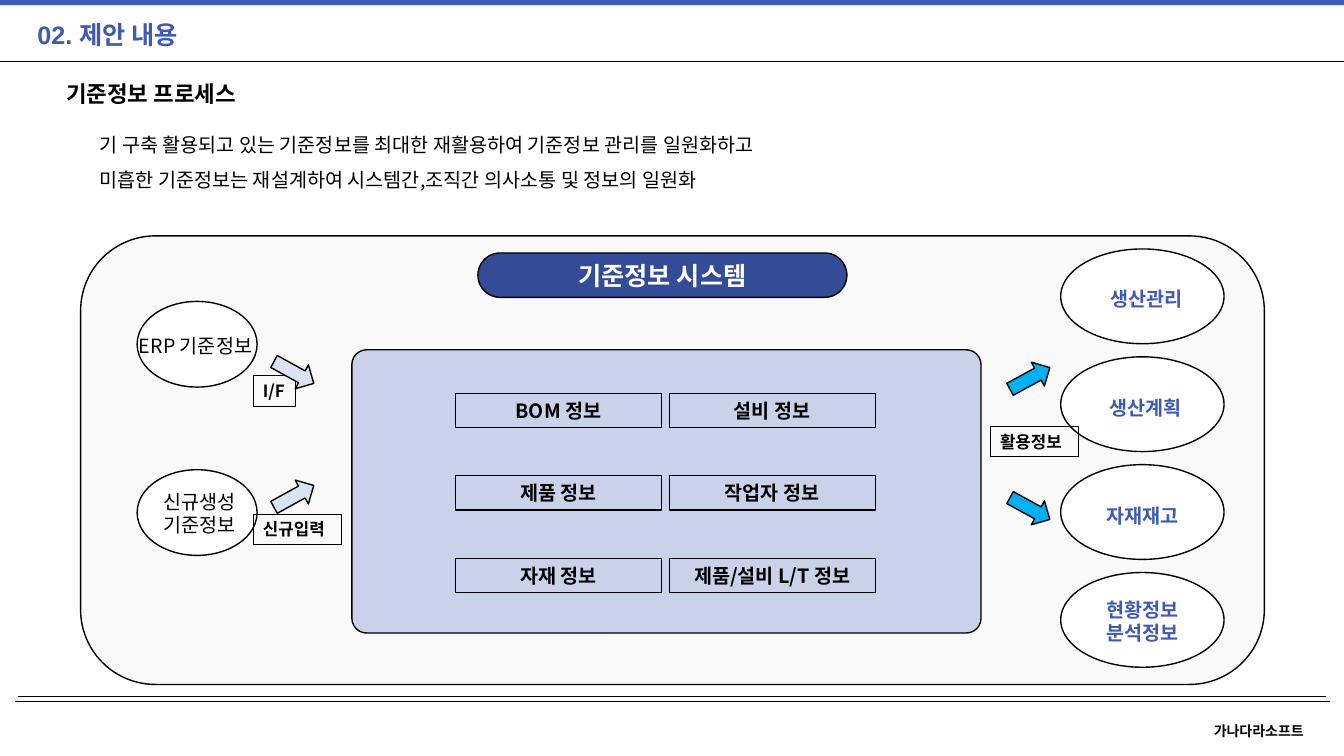
from dataclasses import dataclass

from lxml.etree import SubElement
from pptx import Presentation
from pptx.dml.color import RGBColor
from pptx.enum.shapes import MSO_CONNECTOR as Connector, MSO_SHAPE as Shape
from pptx.enum.text import MSO_ANCHOR as Anchor, MSO_AUTO_SIZE as AutoSize, PP_ALIGN as Align
from pptx.oxml.ns import qn
from pptx.util import Inches, Pt


@dataclass(frozen=True)
class Theme:
    black: str = "000000"
    white: str = "FFFFFF"
    accent: str = "3E5AB4"
    banner: str = "344C98"
    frame: str = "F9F9F9"
    core: str = "93A4D9"
    input_arrow: str = "DAE3F3"
    output_arrow: str = "00B0F0"
    heading_font: str = "Arial"
    body_font: str = "Noto Sans CJK KR"
    heading: int = 18
    subheading: int = 16
    body: int = 14
    tag: int = 12
    footer: int = 10
    outline: float = 1
    thin: float = 0.75
    hairline: float = 0.5


THEME = Theme()


def apply(target, values):
    for name, value in values.items():
        setattr(target, name, value)


def write(shape, text, size=THEME.body, color=THEME.black, bold=False, align=Align.LEFT,
          anchor=Anchor.TOP, wrap=True, grow=True, spacing=None, font=THEME.body_font):
    frame = shape.text_frame
    frame.text = text
    apply(frame, {
        "word_wrap": wrap,
        "vertical_anchor": anchor,
        "auto_size": AutoSize.SHAPE_TO_FIT_TEXT if grow else AutoSize.NONE,
    })
    for paragraph in frame.paragraphs:
        apply(paragraph, {"alignment": align, "line_spacing": spacing})
        for run in paragraph.runs:
            apply(run.font, {"name": font, "size": Pt(size), "bold": bold})
            run.font.color.rgb = RGBColor.from_string(color)
            east_asian = SubElement(run.font._element, qn("a:ea"))
            east_asian.set("typeface", THEME.body_font)


def add_label(slide, box, text, **style):
    label = slide.shapes.add_textbox(*map(Inches, box))
    write(label, text, **style)


def add_block(slide, kind, box, fill=None, outline=THEME.outline, corner=None,
              rotation=0, alpha=None):
    block = slide.shapes.add_shape(kind, *map(Inches, box))
    block.shadow.inherit = False
    block.rotation = rotation
    if corner is not None:
        block.adjustments[0] = corner
    if fill:
        block.fill.solid()
        block.fill.fore_color.rgb = RGBColor.from_string(fill)
        if alpha:
            color = block._element.spPr.find(f".//{qn('a:srgbClr')}")
            SubElement(color, qn("a:alpha")).set("val", str(alpha * 1000))
    else:
        block.fill.background()
    if outline:
        block.line.width = Pt(outline)
        block.line.color.rgb = RGBColor.from_string(THEME.black)
    else:
        block.line.fill.background()
    return block


def add_rule(slide, left, right, top, width):
    rule = slide.shapes.add_connector(
        Connector.STRAIGHT, Inches(left), Inches(top), Inches(right), Inches(top))
    rule.line.width = Pt(width)
    rule.line.color.rgb = RGBColor.from_string(THEME.black)
    SubElement(rule._element.spPr, qn("a:effectLst"))


def add_tag(slide, box, text):
    tag = add_block(slide, Shape.RECTANGLE, box, outline=THEME.thin)
    write(tag, text, size=THEME.tag, bold=True, wrap=False)


def add_heading(slide):
    add_block(slide, Shape.RECTANGLE, (0, 0, 13.33, 0.05), THEME.accent, outline=None)
    add_rule(slide, 0, 13.33, 0.61, THEME.thin)
    title = slide.shapes.title
    position = dict(zip(("left", "top", "width", "height"),
                        map(Inches, (0.27, 0.14, 6.67, 0.4))))
    apply(title, position)
    write(title, "02. 제안 내용", size=THEME.heading, color=THEME.accent, bold=True,
          font=THEME.heading_font)
    add_label(slide, (0.56, 0.75, 6.67, 0.37), "기준정보 프로세스",
              size=THEME.subheading, bold=True)
    add_label(slide, (0.89, 1.15, 12.05, 0.76),
              "기 구축 활용되고 있는 기준정보를 최대한 재활용하여 기준정보 관리를 일원화하고\n"
              "미흡한 기준정보는 재설계하여 시스템간,조직간 의사소통 및 정보의 일원화",
              spacing=1.5)


def add_system(slide):
    add_block(slide, Shape.ROUNDED_RECTANGLE, (0.8, 2.34, 11.74, 4.45), THEME.frame)
    add_block(slide, Shape.ROUNDED_RECTANGLE, (3.49, 3.47, 6.24, 2.81), THEME.core,
              corner=0.052, alpha=46)
    banner = add_block(slide, Shape.ROUNDED_RECTANGLE, (4.74, 2.51, 3.66, 0.44),
                       THEME.banner, corner=0.5)
    write(banner, "기준정보 시스템", size=THEME.heading, color=THEME.white, bold=True,
          align=Align.CENTER, anchor=Anchor.MIDDLE, grow=False)
    master_data = (
        ("BOM 정보", "설비 정보"),
        ("제품 정보", "작업자 정보"),
        ("자재 정보", "제품/설비 L/T 정보"),
    )
    for row, names in enumerate(master_data):
        for column, name in enumerate(names):
            box = (4.52 + 2.12 * column, 3.9 + 0.82 * row, 2.04, 0.34)
            cell = add_block(slide, Shape.RECTANGLE, box, outline=THEME.thin)
            write(cell, name, bold=True, align=Align.CENTER, anchor=Anchor.MIDDLE)


def add_sources(slide):
    sources = (
        (2.99, (1.28, 3.26, 1.39, 0.34), "ERP 기준정보"),
        (4.66, (1.52, 4.81, 0.99, 0.57), "신규생성\n기준정보"),
    )
    for top, label_box, name in sources:
        add_block(slide, Shape.OVAL, (1.36, top, 1.19, 0.85), THEME.white)
        add_label(slide, label_box, name, wrap=False)


def add_consumers(slide):
    consumers = (
        ("생산관리", (10.69, 2.8, 1.36, 0.34)),
        ("생산계획", (10.68, 3.88, 1.37, 0.34)),
        ("자재재고", (10.69, 4.95, 1.28, 0.34)),
        ("현황정보\n분석정보", (10.69, 5.88, 1.28, 0.57)),
    )
    for row, (name, label_box) in enumerate(consumers):
        add_block(slide, Shape.OVAL, (10.52, 2.47 + 1.07 * row, 1.62, 0.94), THEME.white)
        add_label(slide, label_box, name, color=THEME.accent, bold=True, align=Align.CENTER)


def add_flows(slide):
    add_tag(slide, (2.51, 3.73, 0.42, 0.3), "I/F")
    flows = (
        (2.69, 3.56, 28.9, THEME.input_arrow),
        (2.69, 4.79, 331.1, THEME.input_arrow),
        (9.99, 3.62, 331.3, THEME.output_arrow),
        (9.99, 4.91, 28.7, THEME.output_arrow),
    )
    for left, top, rotation, fill in flows:
        add_block(slide, Shape.RIGHT_ARROW, (left, top, 0.45, 0.27), fill, rotation=rotation)
    add_tag(slide, (2.51, 5.1, 0.88, 0.3), "신규입력")
    add_tag(slide, (9.82, 4.23, 0.88, 0.3), "활용정보")


def add_footer(slide):
    add_rule(slide, 0.18, 13.15, 6.91, THEME.hairline)
    add_rule(slide, 0.15, 13.19, 6.96, THEME.outline)
    add_label(slide, (11.94, 7.12, 1.18, 0.27), "가나다라소프트",
              size=THEME.footer, bold=True, wrap=False)


def main():
    deck = Presentation()
    apply(deck, {"slide_width": Inches(13.33), "slide_height": Inches(7.5)})
    slide = deck.slides.add_slide(deck.slide_layouts[5])
    add_heading(slide)
    add_system(slide)
    add_sources(slide)
    add_consumers(slide)
    add_flows(slide)
    add_footer(slide)
    deck.save("out.pptx")


if __name__ == "__main__":
    main()
